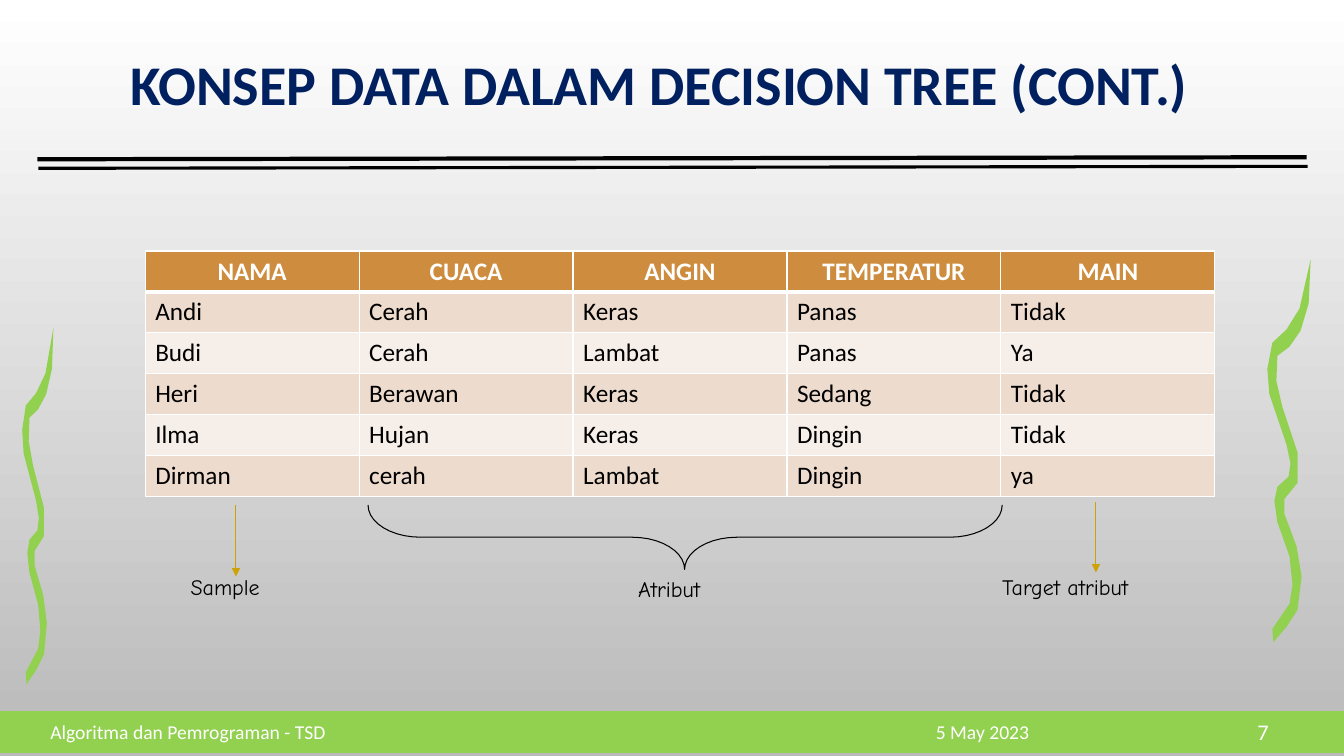
from dataclasses import dataclass
from math import cos, radians, sin

from lxml.etree import SubElement
from pptx import Presentation
from pptx.dml.color import RGBColor
from pptx.enum.shapes import MSO_CONNECTOR, MSO_SHAPE
from pptx.enum.text import MSO_ANCHOR, PP_ALIGN
from pptx.oxml import parse_xml
from pptx.oxml.ns import nsdecls, qn
from pptx.util import Inches, Pt

COLORS = {
    "white": "FFFFFF", "black": "000000", "gray": "B9B9B9", "green": "92D050",
    "navy": "002060", "gold": "CCA206", "header": "CE8D3E",
    "band_dark": "EDDBCE", "band_light": "F6EEE8",
}
VINE_WIDTH, VINE_HEIGHT = 0.43, 3.8
VINE_POINTS = [
    (0.32, 0.49), (0.19, 0.7), (0.05, 0.83), (0, 1.09), (0.02, 1.34), (0.19, 1.84),
    (0.23, 2.03), (0.21, 2.16), (0.1, 2.26), (0.07, 2.4), (0.1, 2.61), (0.22, 2.95),
    (0.25, 3.23), (0.22, 3.42), (0.05, 3.67), (0.06, 3.8), (0.19, 3.65), (0.3, 3.48),
    (0.34, 3.15), (0.29, 2.85), (0.17, 2.53), (0.17, 2.38), (0.3, 2.22), (0.3, 1.92),
    (0.15, 1.47), (0.09, 1.21), (0.1, 0.96), (0.22, 0.87), (0.33, 0.71), (0.41, 0.44),
    (0.43, 0),
]
TABLE_ROWS = [
    ["NAMA", "CUACA", "ANGIN", "TEMPERATUR", "MAIN"],
    ["Andi", "Cerah", "Keras", "Panas", "Tidak"],
    ["Budi", "Cerah", "Lambat", "Panas", "Ya"],
    ["Heri", "Berawan", "Keras", "Sedang", "Tidak"],
    ["Ilma", "Hujan", "Keras", "Dingin", "Tidak"],
    ["Dirman", "cerah", "Lambat", "Dingin", "ya"],
]


@dataclass
class Box:
    left: float
    top: float
    width: float
    height: float

    def lengths(self):
        return [Inches(value) for value in (self.left, self.top, self.width, self.height)]


@dataclass
class Line:
    start: tuple[float, float]
    end: tuple[float, float]
    color: str
    width: float
    arrow: bool = False


@dataclass
class Label:
    text: str
    box: Box


@dataclass
class Footer(Label):
    size: float
    align: PP_ALIGN


VINES = [Box(12.57, 2.57, 0.43, 3.8), Box(0.22, 3.25, 0.31, 3.54)]
LINES = [
    Line((0.38, 1.67), (12.97, 1.65), "black", 2.25),
    Line((0.37, 1.58), (12.96, 1.56), "black", 3),
    Line((2.34, 5.01), (2.34, 5.72), "gold", 0.75, arrow=True),
    Line((10.87, 4.98), (10.87, 5.68), "gold", 0.75, arrow=True),
]
FOOTERS = [
    Footer("5 May 2023", Box(8.15, 7.06, 3.19, 0.4), 14, PP_ALIGN.CENTER),
    Footer("Algoritma dan Pemrograman - TSD", Box(0.4, 7.06, 7.75, 0.4), 14, PP_ALIGN.LEFT),
    Footer("7", Box(11.43, 7.06, 1.25, 0.4), 16, PP_ALIGN.RIGHT),
]
LABELS = [
    Label("Sample", Box(1.89, 5.72, 0.9, 0.28)),
    Label("Target atribut", Box(9.94, 5.72, 1.78, 0.28)),
    Label("Atribut", Box(6.33, 5.74, 1.36, 0.29)),
]


def rgb(name: str) -> RGBColor:
    return RGBColor.from_string(COLORS[name])


def write_text(frame, text: str, *, size: float, color: str, font="Calibri", bold=False,
               align=PP_ALIGN.LEFT, spacing=None, before=0, baseline=0) -> None:
    paragraph = frame.paragraphs[0]
    paragraph.alignment = align
    paragraph.line_spacing = spacing
    paragraph.space_before = Pt(before)
    run = paragraph.add_run()
    run.text = text
    run.font.name = font
    run.font.size = Pt(size)
    run.font.bold = bold
    run.font.color.rgb = rgb(color)
    if baseline:
        run._r.get_or_add_rPr().set("baseline", str(baseline * 1000))


def add_text_box(slide, box: Box, margin=True):
    frame = slide.shapes.add_textbox(*box.lengths()).text_frame
    frame.word_wrap = True
    if margin:
        frame.vertical_anchor = MSO_ANCHOR.MIDDLE
    else:
        frame.margin_left = frame.margin_top = frame.margin_right = frame.margin_bottom = 0
    return frame


def add_outline(slide, points: list[tuple[float, float]], closed: bool):
    start, *others = [(Inches(x), Inches(y)) for x, y in points]
    builder = slide.shapes.build_freeform(*start)
    builder.add_line_segments(others, close=closed)
    shape = builder.convert_to_shape()
    shape.shadow.inherit = False
    return shape


def add_vine(slide, box: Box) -> None:
    points = [(box.left + x * box.width / VINE_WIDTH, box.top + y * box.height / VINE_HEIGHT)
              for x, y in VINE_POINTS]
    vine = add_outline(slide, points, closed=True)
    vine.fill.solid()
    vine.fill.fore_color.rgb = rgb("green")
    vine.line.fill.background()


def arc(center: tuple[float, float], first: int, last: int) -> list[tuple[float, float]]:
    step = 9 if last > first else -9
    return [(center[0] + 0.52 * cos(radians(angle)), center[1] + 0.32 * sin(radians(angle)))
            for angle in range(first, last + step, step)]


def add_brace(slide) -> None:
    top, tip = 5.01, 5.65
    points = (arc((4.17, top), 180, 90) + arc((6.27, tip), 270, 360)
              + arc((7.31, tip), 180, 270) + arc((9.42, top), 90, 0))
    brace = add_outline(slide, points, closed=False)
    brace.fill.background()
    brace.line.color.rgb = rgb("black")
    brace.line.width = Pt(0.75)


def add_line(slide, line: Line) -> None:
    ends = [Inches(value) for value in (*line.start, *line.end)]
    connector = slide.shapes.add_connector(MSO_CONNECTOR.STRAIGHT, *ends)
    connector.line.color.rgb = rgb(line.color)
    connector.line.width = Pt(line.width)
    if line.arrow:
        SubElement(connector.line._get_or_add_ln(), qn("a:tailEnd"), type="triangle")
    SubElement(connector._element.spPr, qn("a:effectLst"))


def add_borders(cell, bottom_width: float, top_width: float) -> None:
    widths = {"lnL": 1, "lnR": 1, "lnT": top_width, "lnB": bottom_width}
    for index, (side, width) in enumerate(widths.items()):
        border = parse_xml(
            f'<a:{side} {nsdecls("a")} w="{Pt(width)}"><a:solidFill>'
            f'<a:srgbClr val="{COLORS["white"]}"/></a:solidFill></a:{side}>')
        cell._tc.get_or_add_tcPr().insert(index, border)


def add_data_table(slide) -> None:
    box = Box(1.44, 2.49, 10.61, 2.43)
    table = slide.shapes.add_table(len(TABLE_ROWS), len(TABLE_ROWS[0]), *box.lengths()).table
    for row_index, row in enumerate(TABLE_ROWS):
        header = row_index == 0
        band = "header" if header else "band_dark" if row_index % 2 else "band_light"
        for column_index, text in enumerate(row):
            cell = table.cell(row_index, column_index)
            cell.fill.solid()
            cell.fill.fore_color.rgb = rgb(band)
            add_borders(cell, 3 if header else 1, 3 if row_index == 1 else 1)
            write_text(cell.text_frame, text, size=18, bold=header,
                       color="white" if header else "black",
                       align=PP_ALIGN.CENTER if header else PP_ALIGN.LEFT)


def add_title(slide) -> None:
    title = slide.shapes.title
    title.left, title.top, title.width, title.height = Box(0.87, 0.27, 11.33, 1.19).lengths()
    title.text_frame.vertical_anchor = MSO_ANCHOR.MIDDLE
    write_text(title.text_frame, "KONSEP DATA DALAM DECISION TREE (CONT.)", size=40,
               color="navy", bold=True, align=PP_ALIGN.CENTER, spacing=0.9)


def add_backdrop(slide) -> None:
    fill = slide.background.fill
    fill.gradient()
    fill.gradient_angle = 270
    for stop, color in zip(fill.gradient_stops, ("white", "gray")):
        stop.color.rgb = rgb(color)
    bar = slide.shapes.add_shape(MSO_SHAPE.RECTANGLE, *Box(0, 7.06, 13.33, 0.4).lengths())
    bar.shadow.inherit = False
    bar.fill.solid()
    bar.fill.fore_color.rgb = rgb("green")
    bar.line.color.rgb = rgb("green")
    bar.line.width = Pt(1.25)


def main() -> None:
    presentation = Presentation()
    presentation.slide_width, presentation.slide_height = Inches(13.33), Inches(7.5)
    slide = presentation.slides.add_slide(presentation.slide_layouts[5])
    add_backdrop(slide)
    for vine in VINES:
        add_vine(slide, vine)
    add_title(slide)
    add_data_table(slide)
    for footer in FOOTERS:
        write_text(add_text_box(slide, footer.box), footer.text, size=footer.size,
                   color="white", align=footer.align)
    for label in LABELS:
        write_text(add_text_box(slide, label.box, margin=False), label.text, size=27.1,
                   color="black", font="Comic Neue", spacing=Pt(20), before=1, baseline=3)
    add_brace(slide)
    for line in LINES:
        add_line(slide, line)
    presentation.save("out.pptx")


if __name__ == "__main__":
    main()
